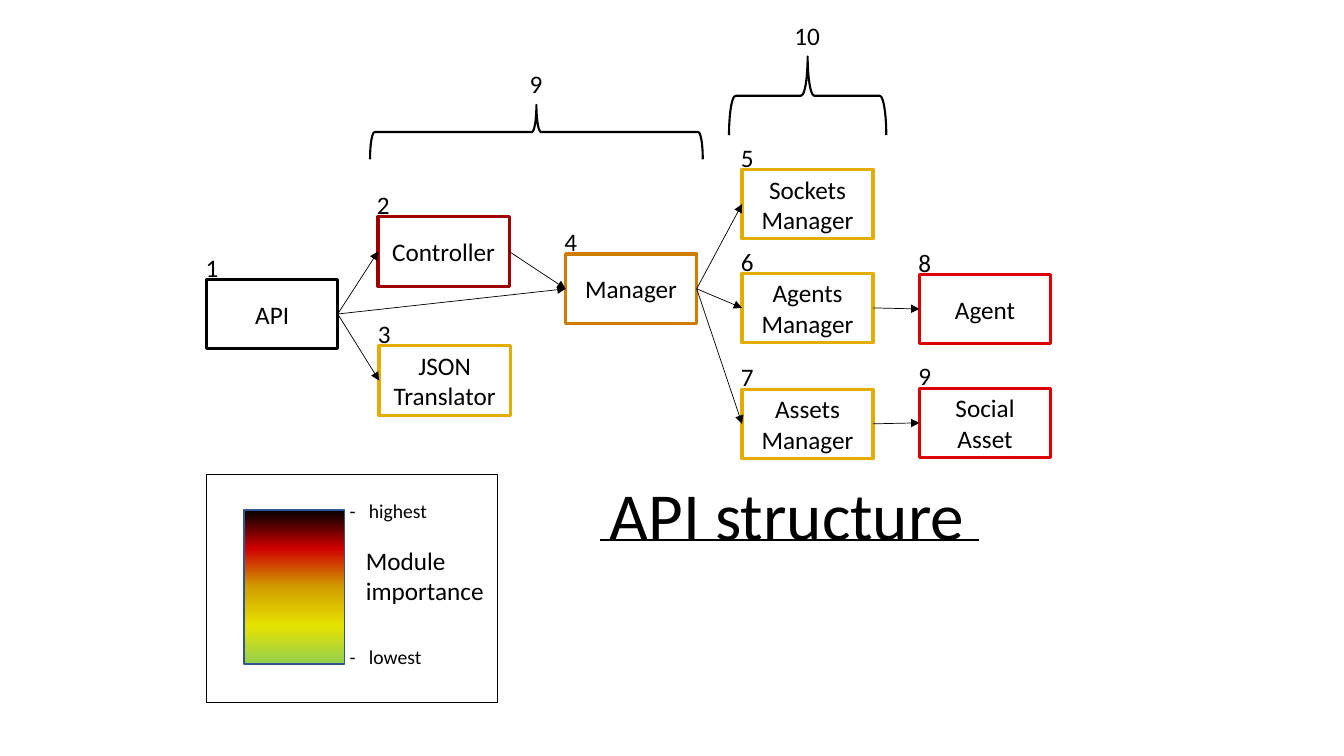
import dataclasses

import lxml.etree
import pptx
import pptx.dml.color
import pptx.enum.shapes
import pptx.enum.text
import pptx.oxml.ns
import pptx.util

Inches = pptx.util.Inches
SHAPES = pptx.enum.shapes.MSO_SHAPE
qn = pptx.oxml.ns.qn


@dataclasses.dataclass(frozen=True)
class Theme:
    """Colours, font and sizes used across the slide."""
    font: str = "Calibri"
    body: int = 18
    small: int = 14
    title: int = 48
    ink: str = "000000"
    paper: str = "FFFFFF"
    controller: str = "9E0000"
    leaf: str = "DE0000"
    manager: str = "D07C00"
    helper: str = "E2AC00"
    scale_edge: str = "325491"
    scale: tuple = ("000000", "D00000", "D09E00", "E7E200", "92D050")


THEME = Theme()
MODULE_SIZE = (1.3, 0.69)
NUMBER_OFFSET = (-0.11, -0.32)
MODULES = {
    "API": ("1", 0, 1.09, THEME.ink),
    "Controller": ("2", 1.7, 0.47, THEME.controller),
    "JSON Translator": ("3", 1.71, 1.75, THEME.helper),
    "Manager": ("4", 3.56, 0.84, THEME.manager),
    "Sockets Manager": ("5", 5.31, 0, THEME.helper),
    "Agents Manager": ("6", 5.31, 1.03, THEME.helper),
    "Assets Manager": ("7", 5.31, 2.18, THEME.helper),
    "Agent": ("8", 7.07, 1.04, THEME.leaf),
    "Social Asset": ("9", 7.07, 2.17, THEME.leaf),
}
CALLS = {
    "API": ("Controller", "JSON Translator", "Manager"),
    "Controller": ("Manager",),
    "Manager": ("Sockets Manager", "Agents Manager", "Assets Manager"),
    "Agents Manager": ("Agent",),
    "Assets Manager": ("Social Asset",),
}


def rgb(code):
    """Turn a hex code into a colour."""
    return pptx.dml.color.RGBColor.from_string(code)


def style_text(frame, text, size):
    """Write one paragraph in the theme font and return it."""
    paragraph = frame.paragraphs[0]
    paragraph.text = text
    paragraph.font.name = THEME.font
    paragraph.font.size = pptx.util.Pt(size)
    paragraph.font.color.rgb = rgb(THEME.ink)
    return paragraph


def add_label(slide, box, text, size=THEME.body, wrap=False):
    """Place a text box and return its paragraph."""
    frame = slide.shapes.add_textbox(*map(Inches, box)).text_frame
    frame.word_wrap = wrap
    return style_text(frame, text, size)


def add_outline(slide, preset, box, colour, weight):
    """Place an unfilled preset shape with a coloured outline."""
    shape = slide.shapes.add_shape(preset, *map(Inches, box))
    shape.shadow.inherit = False
    shape.fill.background()
    shape.line.color.rgb = rgb(colour)
    shape.line.width = pptx.util.Pt(weight)
    return shape


def add_line(slide, start, end, weight):
    """Draw a straight line between two points in inches."""
    line = slide.shapes.add_connector(
        pptx.enum.shapes.MSO_CONNECTOR.STRAIGHT, *map(Inches, (*start, *end)))
    line.line.color.rgb = rgb(THEME.ink)
    line.line.width = pptx.util.Pt(weight)
    lxml.etree.SubElement(line._element.spPr, qn("a:effectLst"))
    return line


def add_module(slide, box, name, number, colour):
    """Draw a module box with its number above the left corner."""
    module = add_outline(slide, SHAPES.RECTANGLE, box, colour, 2.25)
    module.fill.solid()
    module.fill.fore_color.rgb = rgb(THEME.paper)
    module.text_frame.word_wrap = True
    module.text_frame.vertical_anchor = pptx.enum.text.MSO_ANCHOR.MIDDLE
    paragraph = style_text(module.text_frame, name, THEME.body)
    paragraph.alignment = pptx.enum.text.PP_ALIGN.CENTER
    dx, dy = NUMBER_OFFSET
    add_label(slide, (box[0] + dx, box[1] + dy, 0.33, 0.4), number)
    return module


def add_call(slide, caller, callee):
    """Join the right side of one module to the left side of another."""
    arrow = add_line(slide, (0, 0), (1, 1), 0.5)
    arrow.begin_connect(caller, 3)
    arrow.end_connect(callee, 1)
    lxml.etree.SubElement(arrow.line._get_or_add_ln(), qn("a:tailEnd"), type="triangle")


def add_diagram(slide, box):
    """Draw all modules and the calls between them."""
    left, top = box[:2]
    drawn = {
        name: add_module(slide, (left + dx, top + dy, *MODULE_SIZE), name, number, colour)
        for name, (number, dx, dy, colour) in MODULES.items()
    }
    for caller, callees in CALLS.items():
        for callee in callees:
            add_call(slide, drawn[caller], drawn[callee])


def add_group_brace(slide, box, number, number_width):
    """Draw an upward brace filling the box, with its number above."""
    left, top, width, height = box
    middle = left + width / 2
    upright = (middle - height / 2, top + height / 2 - width / 2, height, width)
    add_outline(slide, SHAPES.LEFT_BRACE, upright, THEME.ink, 1.5).rotation = 90
    add_label(slide, (middle - number_width / 2, top - 0.41, number_width, 0.4), number)


def add_legend(slide, box):
    """Draw the importance scale inside its frame."""
    left, top = box[:2]
    scale = add_outline(slide, SHAPES.RECTANGLE, (left + 0.37, top + 0.35, 1, 1.53),
                        THEME.scale_edge, 1)
    scale.fill.gradient()
    scale.fill.gradient_angle = 270
    stops = scale._element.spPr.find(qn("a:gradFill")).find(qn("a:gsLst"))
    for stop in list(stops):
        stops.remove(stop)
    for index, colour in enumerate(THEME.scale):
        position = 100000 * index // (len(THEME.scale) - 1)
        stop = lxml.etree.SubElement(stops, qn("a:gs"), pos=str(position))
        lxml.etree.SubElement(stop, qn("a:srgbClr"), val=colour)
    add_label(slide, (left + 1.48, top + 0.65, 1.4, 0.71), "Module importance", wrap=True)
    for level, dy in (("highest", 0.19), ("lowest", 1.64)):
        mark = add_label(slide, (left + 1.32, top + dy, 0.98, 0.34), f"-\t{level}", THEME.small)
        hanging = Inches(0.19)
        properties = mark._p.get_or_add_pPr()
        properties.set("marL", str(hanging))
        properties.set("indent", str(-hanging))
    add_outline(slide, SHAPES.RECTANGLE, box, THEME.ink, 0.75)


def add_title(slide, box):
    """Write the title with a rule under it."""
    left, top, width, _ = box
    add_label(slide, box, "API structure", THEME.title)
    add_line(slide, (left, top + 0.71), (left + width, top + 0.71), 1.5)


def main():
    """Build the slide and save it."""
    deck = pptx.Presentation()
    deck.slide_width, deck.slide_height = Inches(13.33), Inches(7.5)
    slide = deck.slides.add_slide(deck.slide_layouts[6])
    add_diagram(slide, (2.05, 1.68, 8.37, 2.87))
    add_group_brace(slide, (3.67, 1.04, 3.3, 0.54), "9", 0.33)
    add_group_brace(slide, (7.23, 0.56, 1.56, 0.78), "10", 0.46)
    add_legend(slide, (2.05, 4.71, 2.88, 2.26))
    add_title(slide, (5.95, 4.65, 3.76, 0.91))
    deck.save("out.pptx")


if __name__ == "__main__":
    main()
